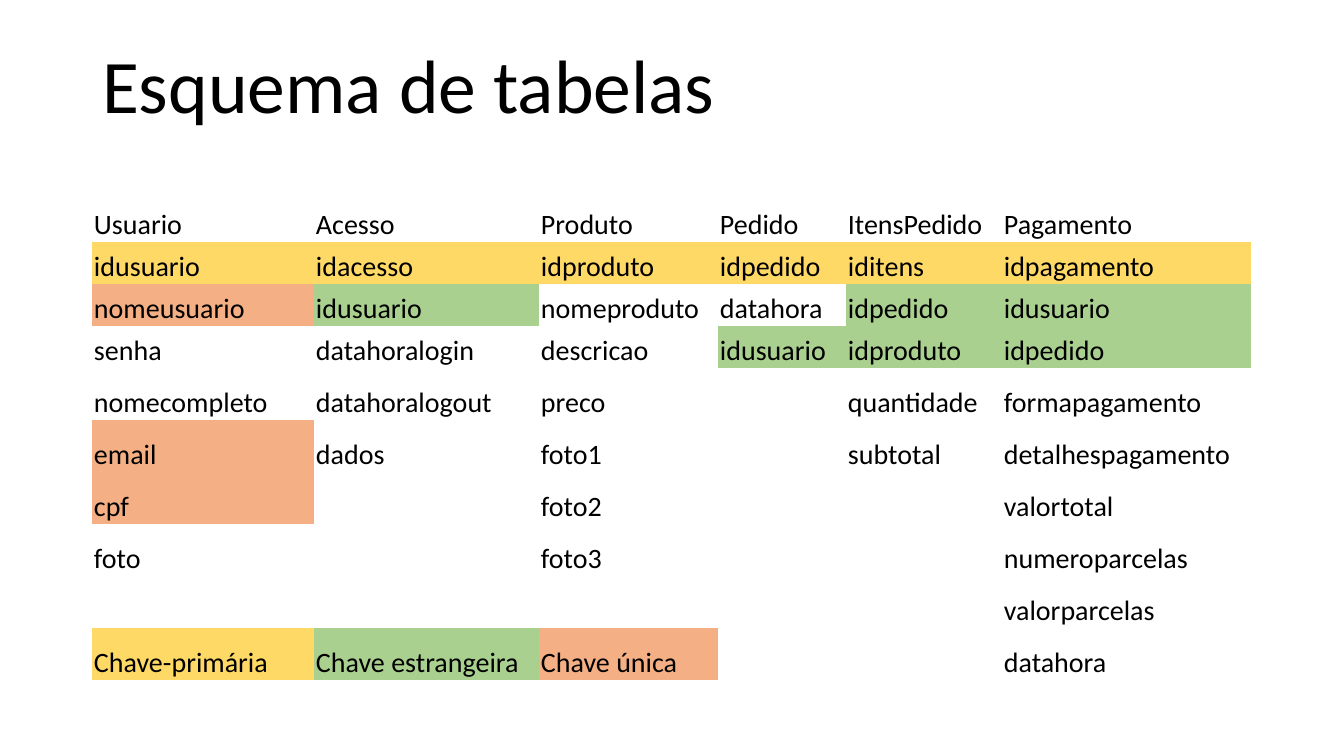
from dataclasses import dataclass
from enum import Enum
from typing import Any

from pptx import Presentation
from pptx.dml.color import RGBColor
from pptx.enum.text import MSO_ANCHOR, MSO_AUTO_SIZE, PP_ALIGN
from pptx.util import Pt

BOTTOM, LEFT, NO_FIT = MSO_ANCHOR.BOTTOM, PP_ALIGN.LEFT, MSO_AUTO_SIZE.NONE
EMU_PER_PIXEL = 914400 / 100.8
TITLE_ONLY = 5
NO_STYLE_NO_GRID = "{2D5ABB26-0587-4C30-8999-92F81FD0307C}"


class Key(Enum):
    """Kinds of key that colour a field."""
    PRIMARY = "Chave-primária"
    FOREIGN = "Chave estrangeira"
    UNIQUE = "Chave única"


@dataclass(frozen=True)
class Theme:
    """Colours and type of the page."""
    font: str
    title_size: int
    field_size: int
    ink: str
    key_fills: dict[Key, str]


@dataclass(frozen=True)
class Field:
    """One field of an entity, with its key if it has one."""
    name: str
    key: Key | None = None


@dataclass(frozen=True)
class Entity:
    """One database table, shown as a column."""
    name: str
    width: int
    fields: list[Field]


THEME = Theme("Calibri", 54, 20, "000000", {
    Key.PRIMARY: "FFD966", Key.FOREIGN: "A9D08E", Key.UNIQUE: "F4B084"})


def primary(name: str) -> Field:
    """Make a primary key field."""
    return Field(name, Key.PRIMARY)


def foreign(name: str) -> Field:
    """Make a foreign key field."""
    return Field(name, Key.FOREIGN)


def unique(name: str) -> Field:
    """Make a unique key field."""
    return Field(name, Key.UNIQUE)


def plain(*names: str) -> list[Field]:
    """Make fields without a key."""
    return [Field(name) for name in names]


ENTITIES = [
    Entity("Usuario", 222, [
        primary("idusuario"), unique("nomeusuario"), *plain("senha", "nomecompleto"),
        unique("email"), unique("cpf"), *plain("foto")]),
    Entity("Acesso", 225, [
        primary("idacesso"), foreign("idusuario"),
        *plain("datahoralogin", "datahoralogout", "dados")]),
    Entity("Produto", 179, [
        primary("idproduto"),
        *plain("nomeproduto", "descricao", "preco", "foto1", "foto2", "foto3")]),
    Entity("Pedido", 128, [
        primary("idpedido"), *plain("datahora"), foreign("idusuario")]),
    Entity("ItensPedido", 156, [
        primary("iditens"), foreign("idpedido"), foreign("idproduto"),
        *plain("quantidade", "subtotal")]),
    Entity("Pagamento", 249, [
        primary("idpagamento"), foreign("idusuario"), foreign("idpedido"),
        *plain("formapagamento", "detalhespagamento", "valortotal",
               "numeroparcelas", "valorparcelas", "datahora")]),
]
ROW_HEIGHTS = [42] * 4 + [52] * 6


def px(pixels: float) -> int:
    """Turn pixels into EMU."""
    return round(pixels * EMU_PER_PIXEL)


def apply(target: Any, values: dict[str, Any]) -> None:
    """Set each named attribute on the target."""
    for name, value in values.items():
        setattr(target, name, value)


def write(para: Any, text: str, size: int) -> None:
    """Put one formatted span into a paragraph."""
    para.alignment = LEFT
    span = para.add_run()
    span.text = text
    apply(span.font, {"name": THEME.font, "size": Pt(size), "bold": False})
    span.font.color.rgb = RGBColor.from_string(THEME.ink)


def draw_title(page: Any, text: str) -> None:
    """Place and fill the title placeholder."""
    title = page.shapes.title
    apply(title, {"left": px(92), "top": px(32), "width": px(1159), "height": px(103)})
    apply(title.text_frame, {
        "vertical_anchor": BOTTOM, "word_wrap": True, "auto_size": NO_FIT})
    para = title.text_frame.paragraphs[0]
    para.line_spacing = 0.9
    write(para, text, THEME.title_size)


def draw_cell(cell: Any, field: Field | None) -> None:
    """Format a cell and show its field, if any."""
    apply(cell, {"margin_left": px(2), "margin_right": px(2), "margin_top": px(2),
                 "margin_bottom": 0, "vertical_anchor": BOTTOM})
    if field and field.key:
        cell.fill.solid()
        cell.fill.fore_color.rgb = RGBColor.from_string(THEME.key_fills[field.key])
    else:
        cell.fill.background()
    if field:
        write(cell.text_frame.paragraphs[0], field.name, THEME.field_size)


def draw_schema(page: Any, entities: list[Entity]) -> None:
    """Draw the entities as columns, with the key legend in the last row."""
    frame = page.shapes.add_table(
        len(ROW_HEIGHTS), len(entities), px(92), px(200),
        px(sum(entity.width for entity in entities)), px(sum(ROW_HEIGHTS)))
    table = frame.table
    apply(table, {"first_row": False, "horz_banding": False})
    table._tbl.tblPr[0].text = NO_STYLE_NO_GRID
    for row, height in zip(table.rows, ROW_HEIGHTS):
        row.height = px(height)

    last = len(ROW_HEIGHTS) - 1
    cells = {(row, column): field
             for column, entity in enumerate(entities)
             for row, field in enumerate([Field(entity.name), *entity.fields])}
    cells.update({(last, column): Field(key.value, key)
                  for column, key in enumerate(Key)})
    for column, entity in enumerate(entities):
        table.columns[column].width = px(entity.width)
        for row in range(len(ROW_HEIGHTS)):
            draw_cell(table.cell(row, column), cells.get((row, column)))


def main() -> None:
    """Build and save the deck."""
    deck = Presentation()
    apply(deck, {"slide_width": px(1344), "slide_height": px(756)})
    page = deck.slides.add_slide(deck.slide_layouts[TITLE_ONLY])
    draw_title(page, "Esquema de tabelas")
    draw_schema(page, ENTITIES)
    deck.save("out.pptx")


main()
